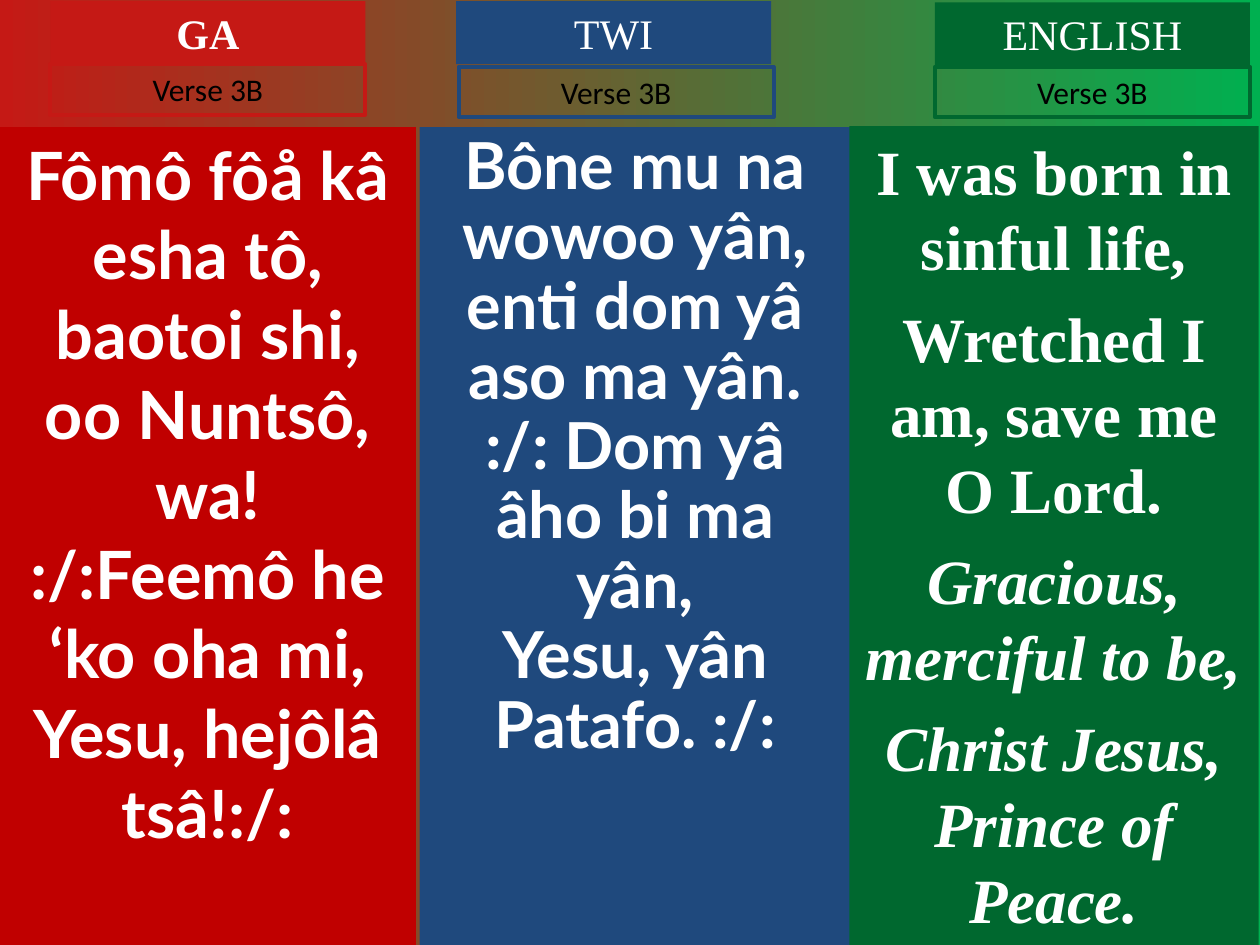
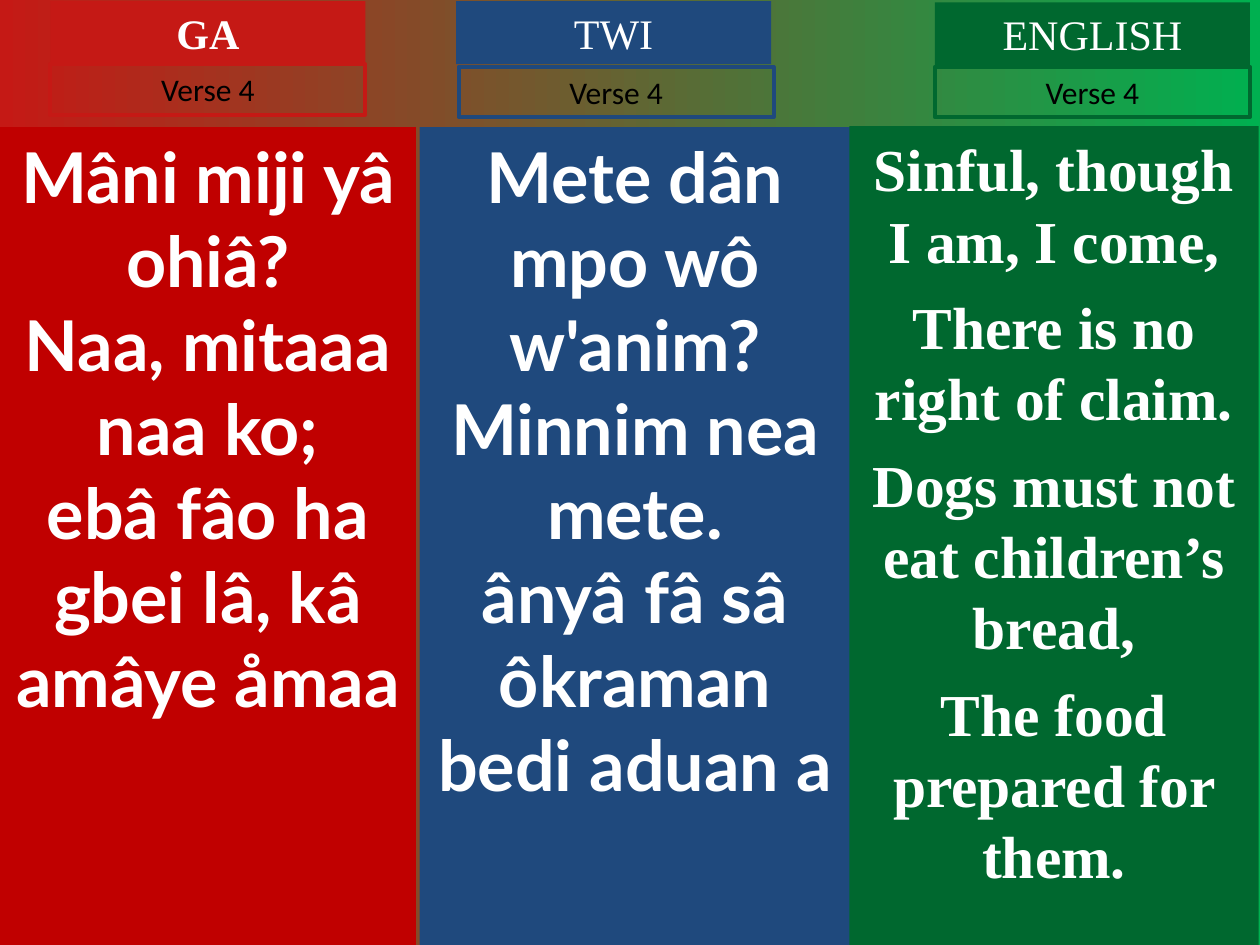
"""Builds hymn slides with one verse shown side by side in Ga, Twi and English."""
from dataclasses import dataclass

from lxml import etree
from pptx import Presentation
from pptx import util as u
from pptx.dml.color import RGBColor
from pptx.enum import shapes, text
from pptx.oxml.ns import qn


@dataclass(frozen=True)
class Theme:
    """Colours, fonts and type sizes shared by the slides."""
    red: str = "C51915"
    deep_red: str = "C00000"
    blue: str = "1F497D"
    green: str = "00682F"
    bright_green: str = "00B050"
    white: str = "FFFFFF"
    black: str = "000000"
    lyric_font: str = "Lato"
    serif: str = "Times New Roman"
    label_font: str = "Calibri"
    heading_size: float = 24
    label_size: float = 18
    border: float = 2.25


THEME = Theme()


@dataclass(frozen=True)
class Language:
    """Place and look of one language column; boxes are left, top, width, height."""
    name: str
    accent: str
    panel_fill: str
    panel: tuple
    heading: tuple
    label: tuple
    font: str
    bold_heading: bool = False


@dataclass(frozen=True)
class Lyric:
    """Lines of a verse in one language with their type setting."""
    lines: tuple
    size: float
    spacing: float = 1.0
    before: float = 0
    italic_from: int = 99


LANGUAGES = (
    Language("GA", THEME.red, THEME.deep_red, (0, 1.01, 3.3, 6.49),
             (0.4, 0.01, 2.5, 0.5), (0.4, 0.51, 2.5, 0.4), THEME.lyric_font, True),
    Language("TWI", THEME.blue, THEME.blue, (3.33, 1.01, 3.42, 6.49),
             (3.62, 0.01, 2.5, 0.5), (3.64, 0.53, 2.5, 0.4), THEME.lyric_font),
    Language("ENGLISH", THEME.green, THEME.green, (6.74, 1, 3.25, 6.5),
             (7.42, 0.02, 2.5, 0.5), (7.42, 0.53, 2.5, 0.4), THEME.serif),
)

VERSES = {
    "Verse 3B": (
        Lyric(("Fômô fôå kâ esha tô,", "baotoi shi, oo Nuntsô, wa!",
               ":/:Feemô he ‘ko oha mi,", "Yesu, hejôlâ tsâ!:/:"), 38),
        Lyric(("Bône mu na wowoo yân,", "enti dom yâ aso ma yân.",
               ":/: Dom yâ âho bi ma yân,", "Yesu, yân Patafo. :/:"), 37, spacing=0.9),
        Lyric(("I was born in sinful life,", "Wretched I am, save me O Lord.",
               "Gracious, merciful to be,", "Christ Jesus, Prince of Peace."),
              36, before=9, italic_from=2),
    ),
    "Verse 4": (
        Lyric(("Mâni miji yâ ohiâ?", "Naa, mitaaa naa ko;",
               "ebâ fâo ha gbei lâ, kâ amâye åmaa"), 40),
        Lyric(("Mete dân mpo wô w'anim?", "Minnim nea mete.",
               "ânyâ fâ sâ ôkraman", "bedi aduan a"), 40),
        Lyric(("Sinful, though I am, I come,", "There is no right of claim.",
               "Dogs must not eat children’s bread,", "The food prepared for them."),
              34, before=8.5),
    ),
}


def rgb(value):
    """Turn a hex string into a colour."""
    return RGBColor.from_string(value)


def place(shape, box):
    """Move and size a shape in inches."""
    shape.left, shape.top, shape.width, shape.height = map(u.Inches, box)


def paint(shape, color):
    """Give a shape a plain fill and no outline."""
    shape.fill.solid()
    shape.fill.fore_color.rgb = rgb(color)
    shape.line.fill.background()


def write(shape, lines, *, font, size, color, bold=False, italic_from=99,
          spacing=1.0, before=0, anchor=text.MSO_ANCHOR.MIDDLE):
    """Fill a shape with centred, unbulleted paragraphs."""
    frame = shape.text_frame
    frame.word_wrap = True
    frame.auto_size = text.MSO_AUTO_SIZE.NONE
    frame.vertical_anchor = anchor
    for index, line in enumerate(lines):
        paragraph = frame.add_paragraph() if index else frame.paragraphs[0]
        properties = paragraph._p.get_or_add_pPr()
        properties.set("marL", "0")
        properties.set("indent", "0")
        etree.SubElement(properties, qn("a:buNone"))
        paragraph.alignment = text.PP_ALIGN.CENTER
        paragraph.line_spacing = spacing
        paragraph.space_before = u.Pt(before if index else 0)
        run = paragraph.add_run()
        run.text = line
        run.font.name = font
        run.font.size = u.Pt(size)
        run.font.bold = bold
        run.font.italic = index >= italic_from
        run.font.color.rgb = rgb(color)


def add_box(slide, box):
    """Add a rectangle without a shadow."""
    rectangle = slide.shapes.add_shape(shapes.MSO_SHAPE.RECTANGLE, *map(u.Inches, box))
    rectangle.shadow.inherit = False
    return rectangle


def set_heading(heading, language):
    """Format the name of a language."""
    place(heading, language.heading)
    paint(heading, language.accent)
    write(heading, [language.name], font=THEME.serif, size=THEME.heading_size,
          color=THEME.white, bold=language.bold_heading)


def add_label(slide, language, verse):
    """Add the outlined verse number below a heading."""
    label = add_box(slide, language.label)
    label.fill.background()
    label.line.color.rgb = rgb(language.accent)
    label.line.width = u.Pt(THEME.border)
    write(label, [verse], font=THEME.label_font, size=THEME.label_size, color=THEME.black)


def set_panel(panel, language, lyric):
    """Format the column that holds the lines of a verse."""
    place(panel, language.panel)
    paint(panel, language.panel_fill)
    write(panel, lyric.lines, font=language.font, size=lyric.size, color=THEME.white,
          bold=True, italic_from=lyric.italic_from, spacing=lyric.spacing,
          before=lyric.before, anchor=text.MSO_ANCHOR.TOP)


def set_background(master):
    """Run the background from red to green on every slide."""
    fill = master.background.fill
    fill.gradient()
    fill.gradient_angle = 0
    for stop, color in zip(fill.gradient_stops, (THEME.red, THEME.bright_green)):
        stop.color.rgb = rgb(color)


def add_verse_slide(deck, verse, lyrics):
    """Add a slide with one verse in all languages."""
    slide = deck.slides.add_slide(deck.slide_layouts.get_by_name("Comparison"))
    title, *panels = [p for p in slide.placeholders if p.placeholder_format.idx < 5]
    spare = panels.pop()
    spare.element.getparent().remove(spare.element)
    for panel, language, lyric in zip(panels, LANGUAGES, lyrics):
        set_panel(panel, language, lyric)
        heading = title if language is LANGUAGES[0] else add_box(slide, language.heading)
        set_heading(heading, language)
        add_label(slide, language, verse)


def main():
    """Build and save the deck."""
    deck = Presentation()
    deck.slide_width, deck.slide_height = u.Inches(10), u.Inches(7.5)
    set_background(deck.slide_master)
    for verse, lyrics in VERSES.items():
        add_verse_slide(deck, verse, lyrics)
    deck.save("out.pptx")


if __name__ == "__main__":
    main()
